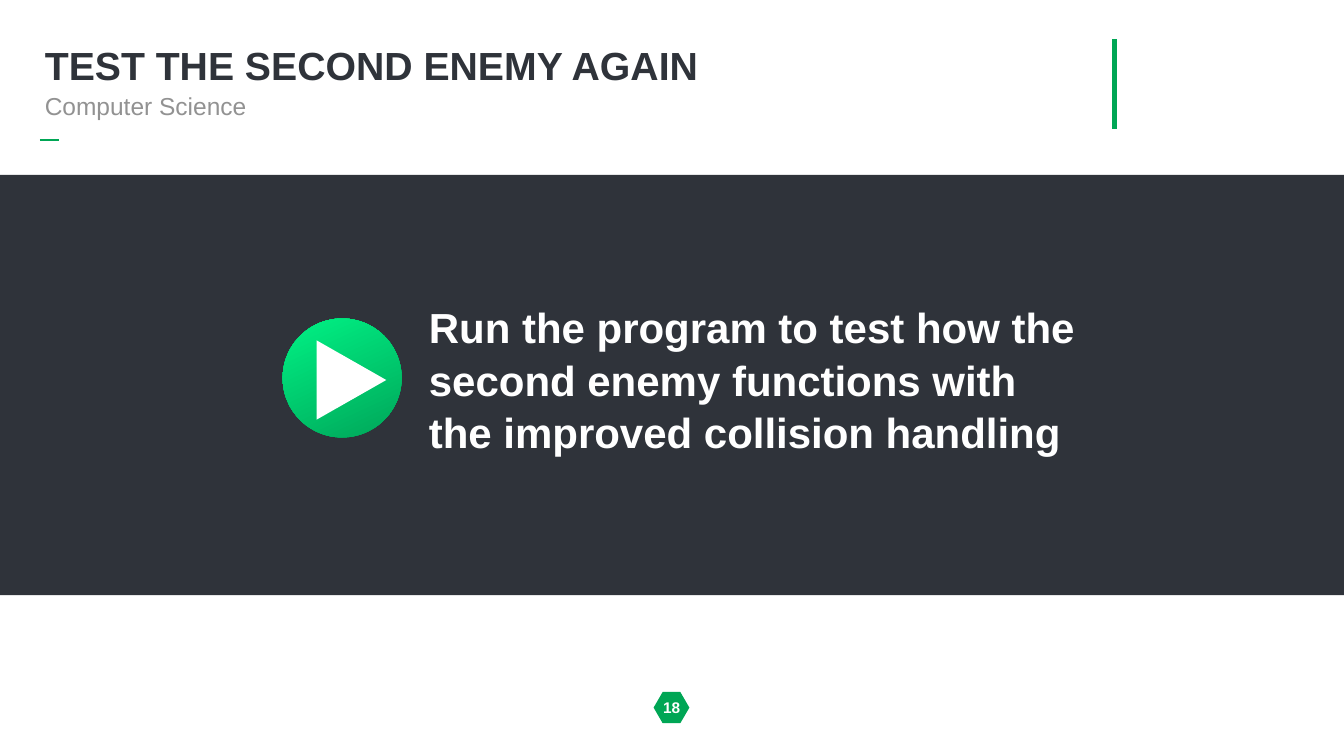
from lxml import etree
from pptx import Presentation
from pptx.dml.color import RGBColor
from pptx.enum import shapes as sh, text as t
from pptx.oxml.ns import qn
from pptx.util import Inches, Pt

GREEN, DARK, GREY, WHITE = "00A655", "2F333A", "929292", "FFFFFF"


def rgb(value):
    return RGBColor.from_string(value)


def write(sp, words, size, color, bold=False, inset=0.1):
    tf = sp.text_frame
    tf.text = words
    tf.word_wrap = True
    tf.auto_size = t.MSO_AUTO_SIZE.NONE
    tf.vertical_anchor = t.MSO_ANCHOR.MIDDLE
    tf.margin_left = tf.margin_right = Inches(inset)
    tf.margin_top = tf.margin_bottom = Inches(min(inset, 0.08))
    p = tf.paragraphs[0]
    p.alignment = t.PP_ALIGN.LEFT
    font = p.runs[0].font
    font.name, font.size, font.bold = "Arial", Pt(size), bold
    font.color.rgb = rgb(color)
    return p


prs = Presentation()
prs.slide_width, prs.slide_height = Inches(26.67), Inches(15)
s = prs.slides.add_slide(prs.slide_layouts[5])

for x1, y1, x2, y2, width in [(22.11, 0.78, 22.11, 2.55, 7), (0.79, 2.78, 1.18, 2.78, 2)]:
    line = s.shapes.add_connector(
        sh.MSO_CONNECTOR.STRAIGHT, Inches(x1), Inches(y1), Inches(x2), Inches(y2))
    line.line.color.rgb = rgb(GREEN)
    line.line.width = Pt(width)
    etree.SubElement(line._element.spPr, qn("a:effectLst"))

title = s.shapes.title
title.left, title.top, title.width, title.height = map(Inches, (0.79, 0.73, 20.23, 1.25))
write(title, "TEST THE SECOND ENEMY AGAIN", 56, DARK, True).line_spacing = 0.9

subtitle = s.shapes.add_textbox(Inches(0.79), Inches(1.76), Inches(20.23), Inches(0.69))
write(subtitle, "Computer Science", 35, GREY)

band = s.shapes.add_shape(
    sh.MSO_SHAPE.RECTANGLE, 0, Inches(3.47), prs.slide_width, Inches(8.34))
badge = s.shapes.add_shape(
    sh.MSO_SHAPE.HEXAGON, Inches(12.97), Inches(13.73), Inches(0.71), Inches(0.62))
badge.adjustments[0] = 0.29

prompt = s.shapes.add_group_shape()
disc = prompt.shapes.add_shape(
    sh.MSO_SHAPE.OVAL, Inches(5.61), Inches(6.32), Inches(2.36), Inches(2.36))
arrow = prompt.shapes.add_shape(
    sh.MSO_SHAPE.ISOSCELES_TRIANGLE, Inches(6.19), Inches(6.85), Inches(1.57), Inches(1.38))
arrow.rotation = 90

for sp, color in [(band, DARK), (badge, GREEN), (disc, GREEN), (arrow, WHITE)]:
    sp.shadow.inherit = False
    sp.fill.solid()
    sp.fill.fore_color.rgb = rgb(color)
    sp.line.fill.background()

disc.fill.gradient()
disc.fill.gradient_angle = 115
for stop, color, position in zip(disc.fill.gradient_stops, ("00A659", "00F285"), (0, 1)):
    stop.color.rgb = rgb(color)
    stop.position = position

message = prompt.shapes.add_textbox(Inches(8.43), Inches(5.91), Inches(13.29), Inches(3.19))
p = write(message, "Run the program to test how the second enemy functions with "
          "the improved collision handling", 60, WHITE, True, 0.08)
p.line_spacing = 1.04
p.space_after = Pt(6)

number = s.shapes.add_textbox(Inches(12.97), Inches(13.78), Inches(0.72), Inches(0.52))
write(number, "18", 22, WHITE, True, 0.08).alignment = t.PP_ALIGN.CENTER

prs.save("out.pptx")
